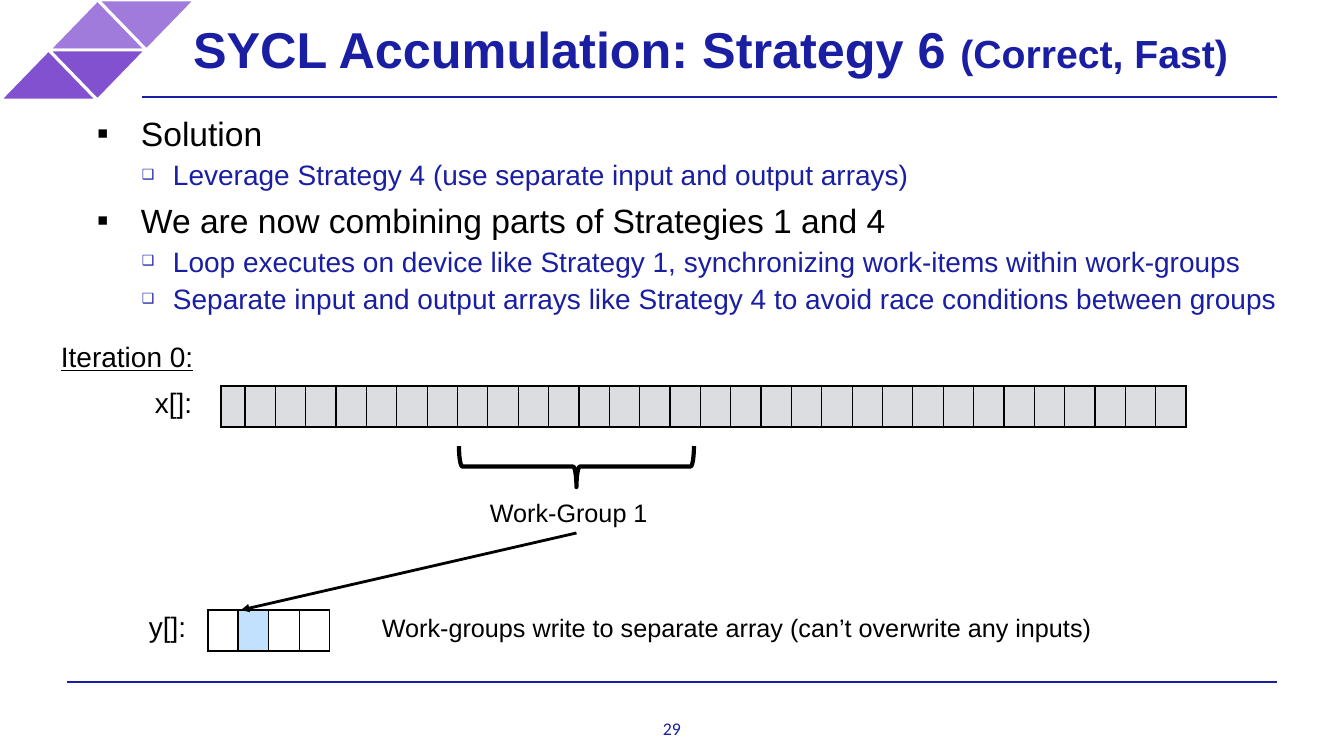
from lxml import etree
from pptx import Presentation
from pptx.dml.color import RGBColor
from pptx.enum.shapes import MSO_CONNECTOR, MSO_SHAPE as Shape
from pptx.enum.text import MSO_ANCHOR as Anchor, MSO_AUTO_SIZE as AutoSize, PP_ALIGN as Align
from pptx.oxml.ns import qn
from pptx.util import Pt

# Colours
NAVY = RGBColor(0x19, 0x1E, 0xA2)
BLACK = RGBColor(0, 0, 0)
WHITE = RGBColor(0xFF, 0xFF, 0xFF)
LILAC = RGBColor(0xA0, 0x7B, 0xDB)
PURPLE = RGBColor(0x81, 0x51, 0xCF)
GREY = RGBColor(0xDC, 0xDD, 0xE0)
SKY = RGBColor(0xC1, 0xE1, 0xFE)

# Content (lengths in px)
HEADING = [("SYCL Accumulation: Strategy 6 ", 36), ("(Correct, Fast)", 28)]
PAGE = "29"
POINTS = [
    (0, "Solution"),
    (1, "Leverage Strategy 4 (use separate input and output arrays)"),
    (0, "We are now combining parts of Strategies 1 and 4"),
    (1, "Loop executes on device like Strategy 1, synchronizing work-items within work-groups"),
    (1, "Separate input and output arrays like Strategy 4 to avoid race conditions between groups"),
]
# level: bullet, bullet size %, margin, hanging, space before, text size, colour
LEVELS = [("▪", 100, 50, 44, 6, 24, BLACK), ("❑", 50, 82, 31, 3, 20, NAVY)]
RULES = [((67, 682), (1277, 682)), ((142, 97), (1277, 97))]
# left, top, rotation, colour
TRIANGLES = [(98, 0, 180, LILAC), (49, 0, 0, LILAC), (49, 50, 180, PURPLE), (0, 50, 0, PURPLE)]
# left, top, width, text size, underlined
LABELS = {
    "Work-Group 1": (480, 495, 193, 18, False),
    "x[]:": (145, 386, 153, 20, False),
    "y[]:": (139, 610, 153, 20, False),
    "Iteration 0:": (51, 340, 153, 20, True),
    "Work-groups write to separate array (can’t overwrite any inputs)":
        (372, 610, 742, 18, False),
}
# left, top, width, first column width, cell fills
INPUT_ARRAY = (221, 386, 966, 24, [GREY] * 32)
OUTPUT_ARRAY = (208, 610, 122, 30, [WHITE, SKY, WHITE, WHITE])
CELL_HEIGHT = 41
BRACE = (556, 349, 41, 235)
ARROW_TIP = (241, 610)

SCALE = 914400 / 100.8


def px(length):
    return round(length * SCALE)


def child(parent, tag, **attributes):
    return etree.SubElement(parent, qn(tag), **attributes)


def write(paragraph, text, size, colour, font="Arial", bold=False, underline=False):
    run = paragraph.add_run()
    run.text = text
    run.font.name, run.font.size, run.font.bold = font, Pt(size), bold
    run.font.underline = underline or None
    run.font.color.rgb = colour


def set_insets(frame, inset):
    frame.margin_left = frame.margin_right = px(inset)
    frame.margin_top = frame.margin_bottom = px(inset)


def add_box(left, top, width, height):
    return slide.shapes.add_textbox(px(left), px(top), px(width), px(height))


def add_line(start, end, colour):
    line = slide.shapes.add_connector(
        MSO_CONNECTOR.STRAIGHT, *(px(v) for v in (*start, *end)))
    line.line.color.rgb, line.line.width = colour, Pt(2)
    child(line._element.spPr, "a:effectLst")
    return line


def add_outline(kind, left, top, width, height, rotation, colour, weight):
    shape = slide.shapes.add_shape(kind, px(left), px(top), px(width), px(height))
    shape.rotation = rotation
    shape.shadow.inherit = False
    shape.line.color.rgb, shape.line.width = colour, Pt(weight)
    return shape


def add_array(left, top, width, first_width, fills):
    table = slide.shapes.add_table(
        1, len(fills), px(left), px(top), px(width), px(CELL_HEIGHT)).table
    table.first_row = table.horz_banding = False
    table.rows[0].height = px(CELL_HEIGHT)
    rest_width = (width - first_width) / (len(fills) - 1)
    for index, fill in enumerate(fills):
        table.columns[index].width = px(rest_width if index else first_width)
        cell = table.cell(0, index)
        cell.margin_left = cell.margin_right = 0
        cell.text_frame.paragraphs[0].font.size = Pt(12)
        cell.fill.solid()
        cell.fill.fore_color.rgb = fill
        properties = cell._tc.get_or_add_tcPr()
        for place, side in enumerate(("a:lnL", "a:lnR", "a:lnT", "a:lnB")):
            border = etree.Element(qn(side), w=str(Pt(1)))
            child(child(border, "a:solidFill"), "a:srgbClr", val=str(BLACK))
            properties.insert(place, border)


deck = Presentation()
deck.slide_width, deck.slide_height = px(1344), px(756)
slide = deck.slides.add_slide(deck.slide_layouts[5])

# Rules and corner ornament
for start, end in RULES:
    add_line(start, end, NAVY)
for left, top, rotation, colour in TRIANGLES:
    triangle = add_outline(Shape.ISOSCELES_TRIANGLE, left, top, 97, 50, rotation, WHITE, 2)
    triangle.fill.solid()
    triangle.fill.fore_color.rgb = colour

# Title
title = slide.shapes.title
title.left, title.top, title.width, title.height = px(179), 0, px(1151), px(96)
heading = title.text_frame
heading.auto_size, heading.vertical_anchor = AutoSize.NONE, Anchor.MIDDLE
heading.word_wrap = True
set_insets(heading, 14)
heading.paragraphs[0].alignment = Align.LEFT
for text, size in HEADING:
    write(heading.paragraphs[0], text, size, NAVY, bold=True)

# Page number
page = add_box(642, 718, 60, 21).text_frame
set_insets(page, 0)
page.word_wrap = True
page.paragraphs[0].alignment = Align.CENTER
write(page.paragraphs[0], PAGE, 12.7, NAVY, font="Calibri")

# Bullet points
points = add_box(91, 113, 1217, 414).text_frame
points.word_wrap = True
set_insets(points, 0)
for index, (level, text) in enumerate(POINTS):
    bullet, bullet_size, margin, hanging, before, size, colour = LEVELS[level]
    point = points.add_paragraph() if index else points.paragraphs[0]
    point.level = level
    properties = point._p.get_or_add_pPr()
    properties.set("marL", str(px(margin)))
    properties.set("indent", str(-px(hanging)))
    child(properties, "a:buSzPct", val=str(bullet_size * 1000))
    child(properties, "a:buFont", typeface="Arial")
    child(properties, "a:buChar", char=bullet)
    if index:
        point.space_before = Pt(before)
    write(point, text, size, colour)

# Arrays and work-group brace
add_array(*INPUT_ARRAY)
add_array(*OUTPUT_ARRAY)
brace = add_outline(Shape.LEFT_BRACE, *BRACE, 270, BLACK, 3)
brace.fill.background()

# Labels
labels = {}
for text, (left, top, width, size, underline) in LABELS.items():
    labels[text] = add_box(left, top, width, 38)
    label = labels[text].text_frame
    label.word_wrap, label.auto_size = True, AutoSize.SHAPE_TO_FIT_TEXT
    label.paragraphs[0].line_spacing = Pt(20)
    write(label.paragraphs[0], text, size, BLACK, underline=underline)

# Arrow from the work-group to its output cell
arrow = add_line((577, 533), ARROW_TIP, BLACK)
arrow.begin_connect(labels["Work-Group 1"], 2)
child(arrow.line._get_or_add_ln(), "a:tailEnd", type="triangle")

deck.save("out.pptx")
